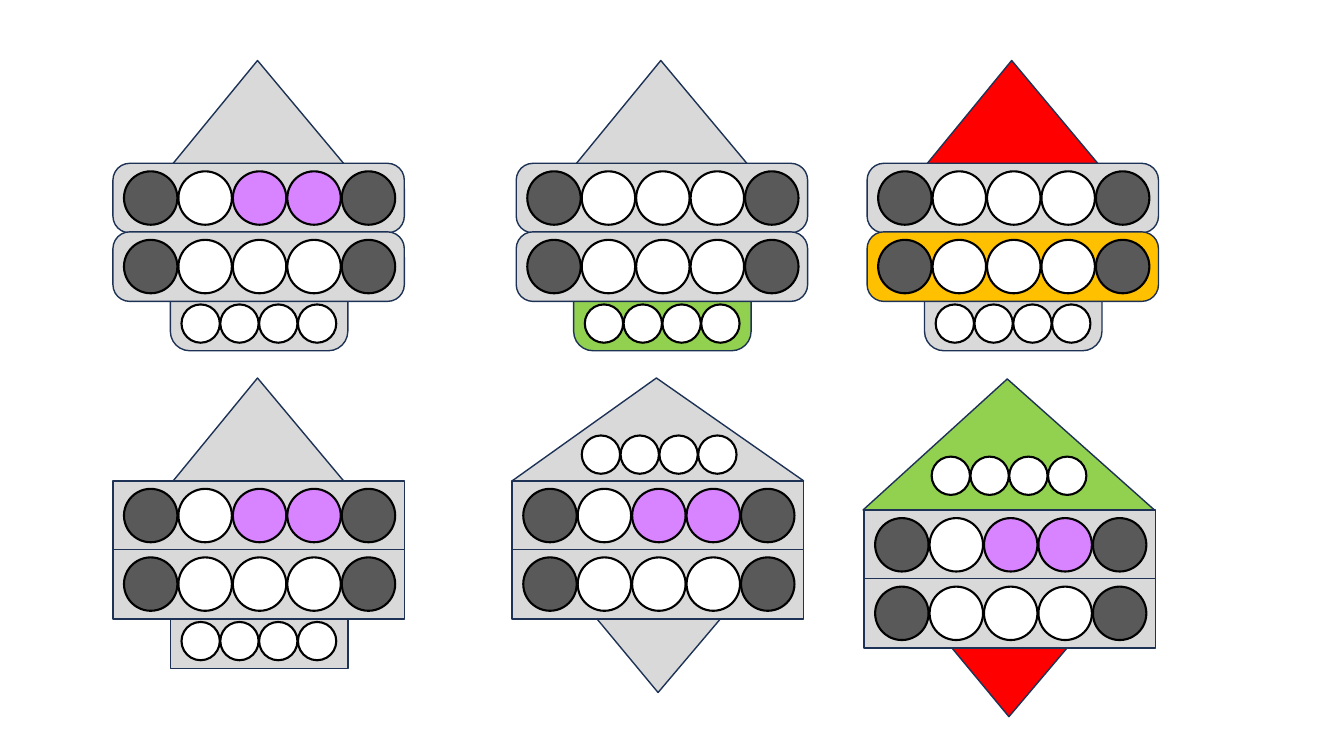
"""Build a slide with six ship diagrams, each with two decks of seats and a row of ports."""
from dataclasses import dataclass

from pptx import Presentation
from pptx.dml.color import RGBColor
from pptx.enum.shapes import MSO_SHAPE as Preset
from pptx.shapes.autoshape import Shape
from pptx.shapes.group import GroupShape
from pptx.util import Inches, Pt


@dataclass(frozen=True)
class Theme:
    hull: str = "D9D9D9"
    hull_edge: str = "1E3256"
    seat_edge: str = "000000"
    dark: str = "595959"
    white: str = "FFFFFF"
    violet: str = "D883FF"
    green: str = "92D050"
    red: str = "FF0000"
    amber: str = "FFC000"
    hull_line: float = 1
    seat_line: float = 1.5


@dataclass(frozen=True)
class Box:
    left: float
    top: float
    width: float
    height: float


@dataclass(frozen=True)
class Ship:
    """Place a ship by its upper deck corner; its parts are relative to that corner."""
    left: float
    top: float
    nose: Box
    stern: Box
    ports: Box
    pointed_stern: bool = False
    rounded: bool = False
    violet_seats: bool = True
    nose_color: str = Theme.hull
    stern_color: str = Theme.hull
    lower_deck_color: str = Theme.hull


THEME = Theme()
DECK_WIDTH, DECK_HEIGHT, DECK_PITCH = 2.89, 0.69, 0.68
SEAT_SIZE, SEAT_PITCH, SEAT_LEFT, SEAT_TOP = 0.53, 0.54, 0.11, 0.08
PORT_SIZE, PORT_PITCH, PORT_COUNT = 0.38, 0.385, 4
APEX, DECK_CORNER, STERN_CORNER = 0.495, 0.241, 0.148

SLIM_NOSE = Box(0.41, -1.02, 2.07, 1.25)
FLAT_STERN = Box(0.57, 0.56, 1.76, 1.3)
STERN_PORTS = Box(0.68, 1.4, PORT_SIZE, PORT_SIZE)

SHIPS = (
    Ship(1.12, 1.62, SLIM_NOSE, FLAT_STERN, STERN_PORTS, rounded=True),
    Ship(5.12, 1.62, SLIM_NOSE, FLAT_STERN, STERN_PORTS, rounded=True,
         violet_seats=False, stern_color=THEME.green),
    Ship(8.6, 1.62, SLIM_NOSE, FLAT_STERN, STERN_PORTS, rounded=True,
         violet_seats=False, nose_color=THEME.red, lower_deck_color=THEME.amber),
    Ship(1.12, 4.77, SLIM_NOSE, FLAT_STERN, STERN_PORTS),
    Ship(5.08, 4.77, Box(0, -1.02, DECK_WIDTH, 1.02), Box(0.6, 1.08, 1.71, 1.02),
         Box(0.69, -0.45, PORT_SIZE, PORT_SIZE), pointed_stern=True),
    Ship(8.57, 5.06, Box(-0.01, -1.3, DECK_WIDTH, 1.3), Box(0.59, 1.03, 1.71, 1.02),
         Box(0.67, -0.53, PORT_SIZE, PORT_SIZE), pointed_stern=True,
         nose_color=THEME.green, stern_color=THEME.red),
)


def add_part(group: GroupShape, ship: Ship, preset: Preset, box: Box, fill: str,
             edge: str = THEME.hull_edge, weight: float = THEME.hull_line) -> Shape:
    """Add one filled and outlined part of a ship."""
    part = group.shapes.add_shape(
        preset, Inches(ship.left + box.left), Inches(ship.top + box.top),
        Inches(box.width), Inches(box.height))
    part.shadow.inherit = False
    part.fill.solid()
    part.fill.fore_color.rgb = RGBColor.from_string(fill)
    part.line.color.rgb = RGBColor.from_string(edge)
    part.line.width = Pt(weight)
    return part


def add_circles(group: GroupShape, ship: Ship, first: Box, pitch: float,
                colors: tuple[str, ...]) -> None:
    """Add a row of equally spaced circles."""
    for index, color in enumerate(colors):
        circle = Box(first.left + index * pitch, first.top, first.width, first.height)
        add_part(group, ship, Preset.OVAL, circle, color, THEME.seat_edge, THEME.seat_line)


def add_deck(group: GroupShape, ship: Ship, top: float, fill: str, middle: str) -> None:
    """Add a deck with five seats, the two middle-right ones in the given colour."""
    deck = add_part(group, ship, Preset.ROUNDED_RECTANGLE,
                    Box(0, top, DECK_WIDTH, DECK_HEIGHT), fill)
    deck.adjustments[0] = DECK_CORNER if ship.rounded else 0
    first = Box(SEAT_LEFT, top + SEAT_TOP, SEAT_SIZE, SEAT_SIZE)
    add_circles(group, ship, first, SEAT_PITCH,
                (THEME.dark, THEME.white, middle, middle, THEME.dark))


def add_stern(group: GroupShape, ship: Ship) -> None:
    """Add the stern, either a downward point or a block."""
    preset = Preset.ISOSCELES_TRIANGLE if ship.pointed_stern else Preset.ROUNDED_RECTANGLE
    stern = add_part(group, ship, preset, ship.stern, ship.stern_color)
    if ship.pointed_stern:
        stern.rotation = 180
        stern.adjustments[0] = 1 - APEX
    else:
        stern.adjustments[0] = STERN_CORNER if ship.rounded else 0


def add_ship(group: GroupShape, ship: Ship) -> None:
    """Add all parts of a ship, from back to front."""
    add_stern(group, ship)
    nose = add_part(group, ship, Preset.ISOSCELES_TRIANGLE, ship.nose, ship.nose_color)
    nose.adjustments[0] = APEX
    add_circles(group, ship, ship.ports, PORT_PITCH, (THEME.white,) * PORT_COUNT)
    add_deck(group, ship, 0, THEME.hull, THEME.violet if ship.violet_seats else THEME.white)
    add_deck(group, ship, DECK_PITCH, ship.lower_deck_color, THEME.white)


def main() -> None:
    """Build and save the slide."""
    deck_file = Presentation()
    deck_file.slide_width, deck_file.slide_height = Inches(13.33), Inches(7.5)
    slide = deck_file.slides.add_slide(deck_file.slide_layouts[6])
    for ship in SHIPS:
        add_ship(slide.shapes.add_group_shape(), ship)
    deck_file.save("out.pptx")


if __name__ == "__main__":
    main()
